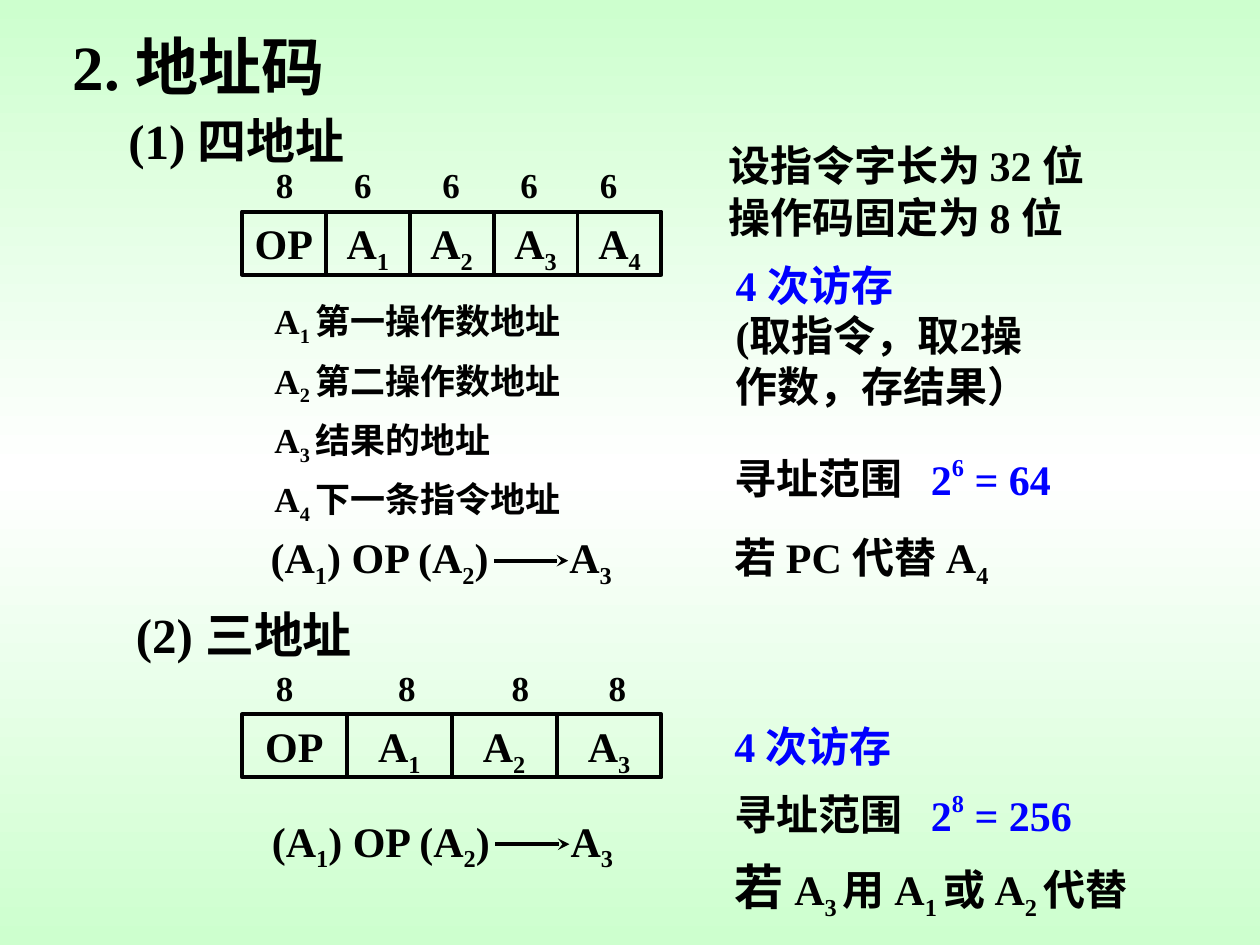
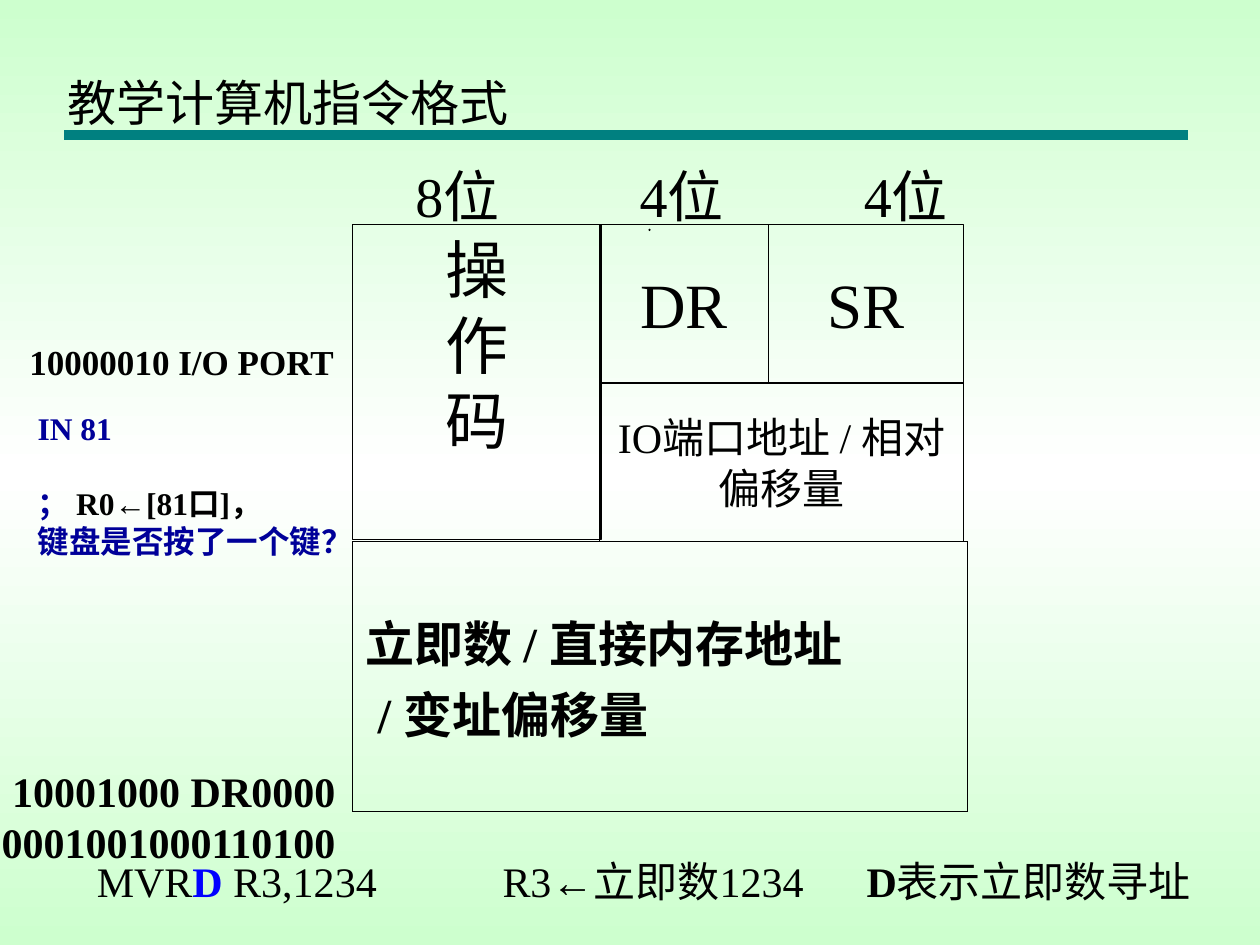
import copy
from dataclasses import dataclass

import pptx
import pptx.dml.color
import pptx.enum.shapes
import pptx.enum.text
import pptx.oxml
import pptx.oxml.ns
import pptx.slide
import pptx.text.text
import pptx.util
from pptx.util import Inches

SERIF = "Times New Roman"
SANS = "Montserrat"
BLACK, BLUE, NAVY, TEAL = "000000", "0000FF", "000099", "008080"
MINT, WHITE = "CDFFCE", "FFFFFF"
ALIGN = pptx.enum.text.PP_ALIGN
ANCHOR = pptx.enum.text.MSO_ANCHOR
SUBSCRIPT, SUPERSCRIPT = -25000, 45000


@dataclass
class Run:
    text: str
    color: str | None = None
    bold: bool | None = None
    size: float | None = None
    baseline: int = 0


@dataclass
class Line:
    runs: list[Run]
    color: str = BLACK
    space_before: float = 0
    line_spacing: float | None = None


@dataclass
class Box:
    left: float
    top: float
    width: float
    height: float
    lines: list[Line]
    size: float = 24
    bold: bool = True
    font: str = SERIF
    align: ALIGN = ALIGN.LEFT
    anchor: ANCHOR = ANCHOR.TOP
    wrap: bool = True
    outline: float = 0


@dataclass
class AddressFormat:
    top: float
    fields: list[Line]
    bits: list[str]
    bit_centers: list[float]


def rgb(value: str) -> pptx.dml.color.RGBColor:
    return pptx.dml.color.RGBColor.from_string(value)


def plain(text: str, color: str = BLACK) -> Line:
    return Line([Run(text)], color)


def sub(text: str) -> Run:
    return Run(text, baseline=SUBSCRIPT)


def address(number: int) -> list[Run]:
    return [Run("A"), sub(str(number))]


def write_lines(frame: pptx.text.text.TextFrame, box: Box) -> None:
    for index, line in enumerate(box.lines):
        paragraph = frame.add_paragraph() if index else frame.paragraphs[0]
        paragraph.alignment = box.align
        paragraph.space_before = pptx.util.Pt(line.space_before)
        if line.line_spacing:
            paragraph.line_spacing = line.line_spacing
        paragraph.font.name = box.font
        paragraph.font.size = pptx.util.Pt(box.size)
        paragraph.font.bold = box.bold
        paragraph.font.color.rgb = rgb(line.color)
        for part in line.runs:
            run = paragraph.add_run()
            run.text = part.text
            if part.color:
                run.font.color.rgb = rgb(part.color)
            if part.bold is not None:
                run.font.bold = part.bold
            if part.size:
                run.font.size = pptx.util.Pt(part.size)
            if part.baseline:
                run.font._element.set("baseline", str(part.baseline))


def draw_box(slide: pptx.slide.Slide, box: Box) -> None:
    bounds = [Inches(v) for v in (box.left, box.top, box.width, box.height)]
    if box.outline:
        shape = slide.shapes.add_shape(pptx.enum.shapes.MSO_SHAPE.RECTANGLE, *bounds)
        shape.shadow.inherit = False
        shape.fill.background()
        shape.line.color.rgb = rgb(BLACK)
        shape.line.width = pptx.util.Pt(box.outline)
    else:
        shape = slide.shapes.add_textbox(*bounds)
    frame = shape.text_frame
    frame.word_wrap = box.wrap
    frame.vertical_anchor = box.anchor
    write_lines(frame, box)


def draw_line(slide: pptx.slide.Slide, start: tuple[float, float], end: tuple[float, float],
              color: str, width: float, arrow: bool = False) -> None:
    connector = slide.shapes.add_connector(
        pptx.enum.shapes.MSO_CONNECTOR.STRAIGHT, *(Inches(v) for v in start + end))
    connector.line.color.rgb = rgb(color)
    connector.line.width = pptx.util.Pt(width)
    if arrow:
        tail = pptx.oxml.parse_xml(
            f'<a:tailEnd {pptx.oxml.ns.nsdecls("a")} type="stealth"/>')
        connector.line._get_or_add_ln().append(tail)
    connector._element.spPr.append(
        pptx.oxml.parse_xml(f'<a:effectLst {pptx.oxml.ns.nsdecls("a")}/>'))


def draw_centered(slide: pptx.slide.Slide, center: float, top: float, text: str,
                  size: float, bold: bool) -> None:
    draw_box(slide, Box(center - 0.6, top, 1.2, 0.44, [plain(text)], size, bold,
                        align=ALIGN.CENTER, wrap=False))


def draw_address_format(slide: pptx.slide.Slide, layout: AddressFormat) -> None:
    left, total = 1.92, 3.33
    width = total / len(layout.fields)
    for index, field in enumerate(layout.fields):
        draw_box(slide, Box(left + index * width, layout.top, width, 0.5, [field],
                            align=ALIGN.CENTER, wrap=False, outline=2.25))
    for center, bits in zip(layout.bit_centers, layout.bits):
        draw_centered(slide, center, layout.top - 0.43, bits, 20, True)


def draw_operation(slide: pptx.slide.Slide, top: float, left: float) -> None:
    operands = [Run("("), *address(1), Run(") OP ("), *address(2), Run(")")]
    draw_box(slide, Box(left, top, 2.1, 0.56, [Line(operands)], wrap=False))
    draw_line(slide, (left + 1.87, top + 0.28), (left + 2.46, top + 0.28), BLACK, 2.25, True)
    draw_box(slide, Box(left + 2.37, top, 0.62, 0.56, [Line(address(3))], wrap=False))


def draw_address_range(slide: pptx.slide.Slide, top: float, bits: int) -> None:
    power = [Run("2"), Run(str(bits), baseline=SUPERSCRIPT), Run(f" = {2 ** bits}")]
    draw_box(slide, Box(5.73, top, 1.6, 0.51, [plain("寻址范围")]))
    draw_box(slide, Box(7.29, top, 1.9, 0.51, [Line(power, BLUE)]))


def draw_table(slide: pptx.slide.Slide, box: Box) -> None:
    bounds = [Inches(v) for v in (box.left, box.top, box.width, box.height)]
    table = slide.shapes.add_table(1, 1, *bounds).table
    table.first_row = table.horz_banding = False
    cell = table.cell(0, 0)
    cell.vertical_anchor = box.anchor
    write_lines(cell.text_frame, box)
    properties = cell._tc.get_or_add_tcPr()
    for side in ("lnL", "lnR", "lnT", "lnB"):
        properties.append(pptx.oxml.parse_xml(
            f'<a:{side} {pptx.oxml.ns.nsdecls("a")} w="6350"><a:solidFill>'
            f'<a:srgbClr val="{BLACK}"/></a:solidFill></a:{side}>'))
    cell.fill.background()


def set_background(master: pptx.slide.SlideMaster) -> None:
    fill = master.background.fill
    fill.gradient()
    fill.gradient_angle = 90
    stop_list = master.element.find(".//" + pptx.oxml.ns.qn("a:gsLst"))
    stop_list.insert(1, copy.deepcopy(stop_list[0]))
    for stop, position, color in zip(fill.gradient_stops, (0, 0.5, 1), (MINT, WHITE, MINT)):
        stop.position = position
        stop.color.rgb = rgb(color)


def build_address_codes(slide: pptx.slide.Slide) -> None:
    draw_box(slide, Box(0.48, 0.17, 3.02, 0.7, [plain("2. 地址码")], 36))
    draw_box(slide, Box(0.92, 0.83, 5.25, 0.57, [plain("(1) 四地址")], 28))
    draw_box(slide, Box(0.98, 4.75, 5.52, 0.57, [plain("(2) 三地址")], 28))

    for top, count, bits, centers in (
        (1.68, 4, ["8", "6", "6", "6", "6"], [2.26, 2.88, 3.58, 4.2, 4.83]),
        (5.67, 3, ["8", "8", "8", "8"], [2.26, 3.23, 4.13, 4.9]),
    ):
        fields = [plain("OP")] + [Line(address(n)) for n in range(1, count + 1)]
        draw_address_format(slide, AddressFormat(top, fields, bits, centers))

    meanings = ["第一操作数地址", "第二操作数地址", "结果的地址", "下一条指令地址"]
    for index, meaning in enumerate(meanings):
        runs = [Run("A"), sub(f"{index + 1} "), Run(meaning)]
        draw_box(slide, Box(2.08, 2.33 + index * 0.47, 3.17, 0.48, [Line(runs)], 20))

    draw_operation(slide, 4.17, 2.05)
    draw_operation(slide, 6.42, 2.06)

    for top, text in ((1.1, "设指令字长为 32 位"), (1.52, "操作码固定为 8 位")):
        draw_box(slide, Box(5.68, top, 3.69, 0.46, [Line([Run(text)], line_spacing=0.9)]))
    accesses = plain("4 次访存", BLUE)
    draw_box(slide, Box(5.74, 2.01, 2.6, 1.7,
                        [accesses, plain("(取指令，取2操作数，存结果）")]))
    draw_box(slide, Box(5.73, 5.67, 2.44, 0.5, [accesses]))
    draw_address_range(slide, 3.54, 6)
    draw_address_range(slide, 6.21, 8)
    draw_box(slide, Box(5.73, 4.17, 3.02, 0.56, [Line([Run("若 PC 代替 "), *address(4)])]))
    replacement = [Run("若 ", size=28), Run("A"), sub("3 "), Run("用 A"), sub("1 "),
                   Run("或 A"), sub("2 "), Run("代替")]
    draw_box(slide, Box(5.73, 6.75, 3.83, 0.61, [Line(replacement, space_before=15)]))


def build_instruction_format(slide: pptx.slide.Slide) -> None:
    draw_line(slide, (0.51, 1.07), (9.43, 1.07), TEAL, 6)
    draw_box(slide, Box(0.44, 0.17, 8.97, 0.92, [plain("教学计算机指令格式")], 28, False,
                        SANS, anchor=ANCHOR.BOTTOM))
    for index, label in enumerate(("8位", "4位", "4位")):
        draw_centered(slide, 3.63 + index * 1.78, 1.23, label, 32, False)
    draw_line(slide, (5.15, 1.82), (5.16, 1.83), BLACK, 1)

    for left, top, width, text, size in (
        (4.76, 3.04, 2.89, "IO端口地址 / 相对偏移量", 24),
        (6.1, 1.78, 1.55, "SR", 36),
        (4.76, 1.78, 1.34, "DR", 36),
    ):
        draw_box(slide, Box(left, top, width, 1.26, [plain(text)], size, False,
                            align=ALIGN.CENTER, anchor=ANCHOR.MIDDLE, outline=0.75))
    draw_box(slide, Box(2.8, 1.78, 1.97, 2.5, [plain(character) for character in "操作码"],
                        36, False, align=ALIGN.CENTER, outline=0.75))
    draw_table(slide, Box(2.8, 4.3, 4.88, 2.14,
                          [plain("立即数 / 直接内存地址"), plain(" / 变址偏移量")], 28,
                          anchor=ANCHOR.MIDDLE))

    for left, width, runs in (
        (0.67, 2.5, [Run("MVR"), Run("D", BLUE, True), Run(" R3,1234")]),
        (3.89, 2.8, [Run("R3←立即数1234")]),
        (6.78, 2.93, [Run("D", bold=True), Run("表示立即数寻址")]),
    ):
        draw_box(slide, Box(left, 6.74, width, 0.5, [Line(runs)], bold=False,
                            anchor=ANCHOR.MIDDLE, wrap=False))

    draw_box(slide, Box(-0.1, 6.03, 2.86, 0.9,
                        [plain("10001000 DR0000"), plain("0001001000110100")],
                        align=ALIGN.RIGHT, wrap=False))
    draw_box(slide, Box(0.2, 3.2, 2.7, 1.3, [
        plain("IN 81", NAVY),
        Line([Run("； "), Run("R0←[81口]，", BLACK)], NAVY, space_before=21),
        plain("键盘是否按了一个键？", NAVY),
    ], 18, wrap=False))
    draw_box(slide, Box(0.12, 2.65, 2.63, 0.44, [plain("10000010 I/O PORT")], 20,
                        align=ALIGN.RIGHT, wrap=False))


def main() -> None:
    presentation = pptx.Presentation()
    presentation.slide_width = Inches(10)
    presentation.slide_height = Inches(7.5)
    set_background(presentation.slide_master)
    blank = presentation.slide_layouts[6]
    for build in (build_address_codes, build_instruction_format):
        build(presentation.slides.add_slide(blank))
    presentation.save("out.pptx")


main()
